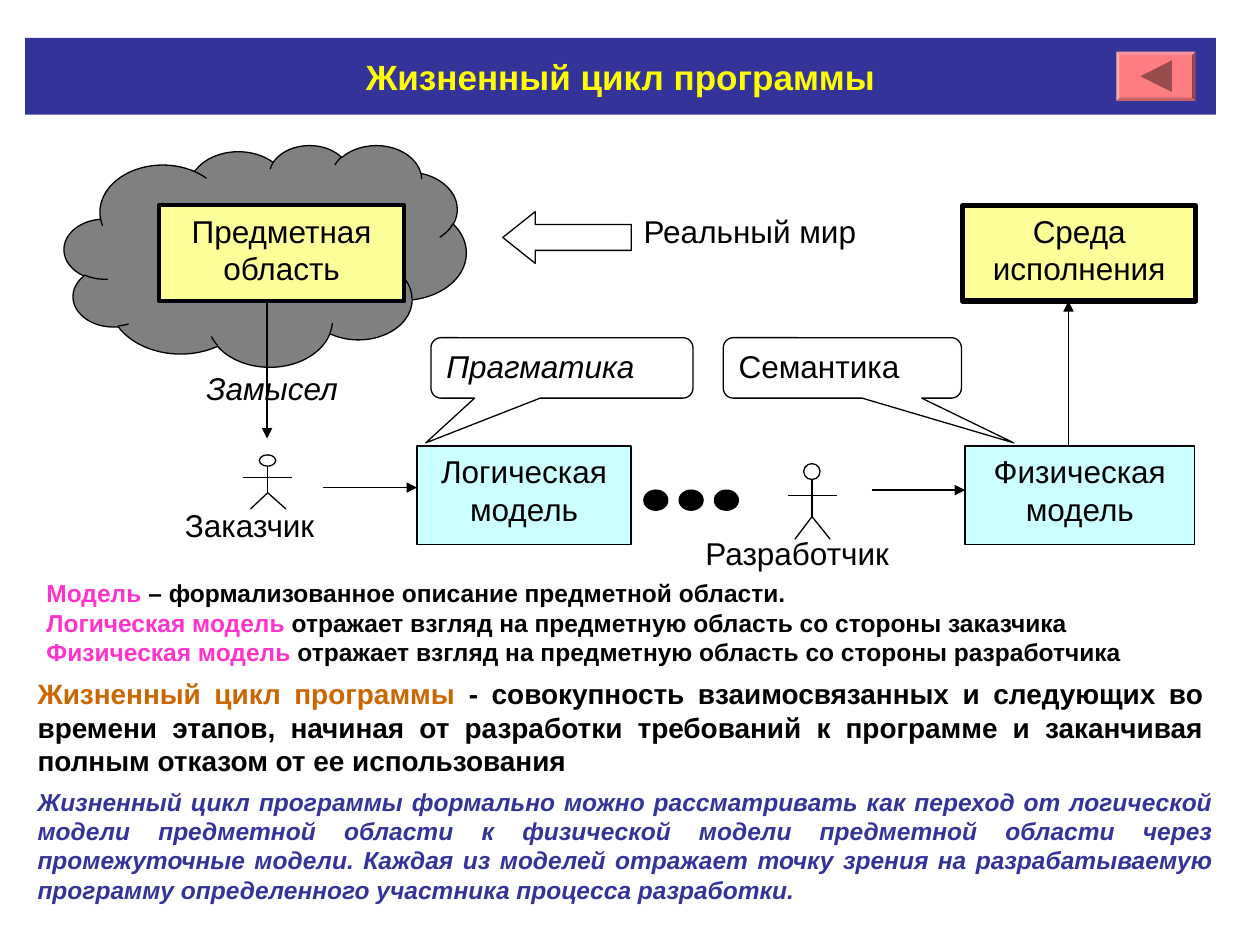
from lxml.etree import SubElement
from pptx import Presentation
from pptx.dml.color import RGBColor
from pptx.enum.shapes import MSO_CONNECTOR, MSO_SHAPE
from pptx.enum.text import MSO_ANCHOR, PP_ALIGN
from pptx.oxml.ns import qn
from pptx.util import Inches, Pt

BLACK = RGBColor(0, 0, 0)
WHITE = RGBColor(0xFF, 0xFF, 0xFF)
NAVY = RGBColor(0x33, 0x33, 0x99)
GOLD = RGBColor(0xFF, 0xFF, 0)
GREY = RGBColor(0x80, 0x80, 0x80)
CREAM = RGBColor(0xFF, 0xFF, 0x99)
AQUA = RGBColor(0xCC, 0xFF, 0xFF)
PINK = RGBColor(0xFF, 0x33, 0xCC)
RUST = RGBColor(0xCC, 0x66, 0)
CORAL = RGBColor(0xFF, 0x7C, 0x80)
WINE = RGBColor(0x99, 0x4A, 0x4D)


def shift(box, x, y, *size):
    """Turn a place inside box into a place on the slide."""
    return (box[0] + x, box[1] + y, *size)


def write(shape, *paras, size=18, align=PP_ALIGN.LEFT, anchor=MSO_ANCHOR.TOP,
          color=BLACK, bold=False, italic=False):
    """Fill a shape with paragraphs, each a string or a list of (text, colour)."""
    frame = shape.text_frame
    frame.word_wrap = True
    frame.vertical_anchor = anchor
    for i, runs in enumerate(paras):
        para = frame.add_paragraph() if i else frame.paragraphs[0]
        para.alignment = align
        for text, tint in [(runs, color)] if isinstance(runs, str) else runs:
            run = para.add_run()
            run.text = text
            font = run.font
            font.name, font.size = "Arial", Pt(size)
            font.bold, font.italic = bold, italic
            font.color.rgb = tint


def draw(slide, kind, box, fill=WHITE, width=0.75, adjust=()):
    shape = slide.shapes.add_shape(kind, *map(Inches, box))
    shape.shadow.inherit = False
    shape.fill.solid()
    shape.fill.fore_color.rgb = fill
    if width:
        shape.line.color.rgb = BLACK
        shape.line.width = Pt(width)
    else:
        shape.line.fill.background()
    for i, value in enumerate(adjust):
        shape.adjustments[i] = value
    return shape


def link(slide, start, end, arrow=False):
    line = slide.shapes.add_connector(
        MSO_CONNECTOR.STRAIGHT, *map(Inches, (*start, *end)))
    line.line.color.rgb = BLACK
    line.line.width = Pt(0.75)
    if arrow:
        SubElement(line.line._get_or_add_ln(), qn("a:tailEnd"), type="triangle")
    SubElement(line._element.spPr, qn("a:effectLst"))


def label(slide, box, text):
    write(draw(slide, MSO_SHAPE.RECTANGLE, box, width=0), text)


def block(slide, box, text, fill, width=0.75):
    shape = draw(slide, MSO_SHAPE.RECTANGLE, box, fill, width)
    write(shape, text, align=PP_ALIGN.CENTER)


def bubble(slide, box, text, tip, italic=False):
    """Draw a callout whose tip is given as shares of the box from its centre."""
    shape = draw(slide, MSO_SHAPE.ROUNDED_RECTANGULAR_CALLOUT, box,
                 adjust=(*tip, 0.167))
    write(shape, text, italic=italic)


def note(slide, box, *paras, **style):
    write(slide.shapes.add_textbox(*map(Inches, box)), *paras, **style)


def person(slide, box):
    """Draw a stick figure that fills the box."""
    wide, high = box[2:]

    def spot(x, y):
        return shift(box, x * wide, y * high)

    draw(slide, MSO_SHAPE.OVAL, (*spot(0.33, 0), wide / 3, 0.21 * high))
    hip = spot(0.5, 0.7)
    for start, end in ((spot(0.5, 0.21), hip), (hip, spot(0.15, 1)),
                       (hip, spot(0.87, 1)), (spot(0, 0.42), spot(1, 0.42))):
        link(slide, start, end)


def dots(slide, box, count=3):
    size = 0.19
    step = (box[2] - size) / (count - 1)
    for i in range(count):
        draw(slide, MSO_SHAPE.OVAL, shift(box, i * step, 0, size, box[3]), BLACK)


def header(slide, box):
    title = slide.shapes.title
    title.left, title.top, title.width, title.height = map(Inches, box)
    title.fill.solid()
    title.fill.fore_color.rgb = NAVY
    write(title, "Жизненный цикл программы", size=20, color=GOLD, bold=True,
          align=PP_ALIGN.CENTER, anchor=MSO_ANCHOR.MIDDLE)


def button(slide, box):
    draw(slide, MSO_SHAPE.BEVEL, box, CORAL, 0, (0.065,))
    side = 0.25
    mark = shift(box, (box[2] - side) / 2, (box[3] - side) / 2, side, side)
    draw(slide, MSO_SHAPE.ISOSCELES_TRIANGLE, mark, WINE, 0).rotation = 270


def world(slide, box):
    """Draw the real world, the domain and the run-time environment."""
    draw(slide, MSO_SHAPE.CLOUD, shift(box, 0, 0, 3.19, 1.76), GREY)
    label(slide, shift(box, 4.5, 0.48, 2.31, 0.52), "Реальный мир")
    block(slide, shift(box, 0.75, 0.48, 1.95, 0.76), "Предметная область",
          CREAM, 2.25)
    block(slide, shift(box, 7.13, 0.48, 1.85, 0.76), "Среда исполнения",
          CREAM, 3)
    draw(slide, MSO_SHAPE.LEFT_ARROW, shift(box, 3.48, 0.53, 1.02, 0.41),
         adjust=(0.5, 0.628))
    link(slide, shift(box, 1.61, 1.24), shift(box, 1.61, 2.33), arrow=True)
    note(slide, shift(box, 0.55, 1.73, 2.2, 0.4), "Замысел", italic=True,
         align=PP_ALIGN.CENTER)


def models(slide, box):
    """Draw the way from the customer's model to the developer's model."""
    label(slide, shift(box, 0, 1.29, 1.43, 0.64), "Заказчик")
    person(slide, shift(box, 0.56, 0.93, 0.39, 0.43))
    label(slide, shift(box, 4.13, 1.51, 1.92, 0.43), "Разработчик")
    person(slide, shift(box, 4.88, 1, 0.39, 0.6))
    block(slide, shift(box, 1.94, 0.86, 1.7, 0.78), "Логическая модель", AQUA)
    block(slide, shift(box, 6.29, 0.86, 1.82, 0.78), "Физическая модель", AQUA)
    dots(slide, shift(box, 3.74, 1.21, 0.75, 0.16))
    for start, end in (((1.19, 1.19), (1.94, 1.19)),
                       ((5.55, 1.21), (6.29, 1.21)),
                       ((7.11, 0.86), (7.11, -0.29))):
        link(slide, shift(box, *start), shift(box, *end), arrow=True)
    bubble(slide, shift(box, 2.05, 0, 2.08, 0.48), "Прагматика",
           (-0.52, 1.24), italic=True)
    bubble(slide, shift(box, 4.37, 0, 1.89, 0.48), "Семантика", (0.72, 1.24))


def notes(slide, box):
    """Write the definitions under the diagram."""
    style = dict(bold=True, align=PP_ALIGN.JUSTIFY)
    terms = (
        ("Модель", " – формализованное описание предметной области."),
        ("Логическая модель",
         " отражает взгляд на предметную область со стороны заказчика"),
        ("Физическая модель",
         " отражает взгляд на предметную область со стороны разработчика"),
    )
    note(slide, shift(box, 0.07, 0, 9.37, 0.8),
         *([(term, PINK), (rest, BLACK)] for term, rest in terms),
         size=14, anchor=MSO_ANCHOR.MIDDLE, **style)
    note(slide, shift(box, 0, 0.78, 9.45, 0.9),
         [("Жизненный цикл программы ", RUST),
          ("- совокупность взаимосвязанных и следующих во времени этапов, "
           "начиная от разработки требований к программе и заканчивая полным "
           "отказом от ее использования", BLACK)],
         size=16, **style)
    note(slide, shift(box, 0, 1.65, 9.53, 1.04),
         "Жизненный цикл программы формально можно рассматривать как переход "
         "от логической модели предметной области к физической модели "
         "предметной области через промежуточные модели. Каждая из моделей "
         "отражает точку зрения на разрабатываемую программу определенного "
         "участника процесса разработки.",
         size=14, color=NAVY, italic=True, anchor=MSO_ANCHOR.MIDDLE, **style)


def main():
    deck = Presentation()
    deck.slide_width, deck.slide_height = Inches(10), Inches(7.5)
    slide = deck.slides.add_slide(deck.slide_layouts[5])
    header(slide, (0.2, 0.3, 9.45, 0.61))
    world(slide, (0.51, 1.15))
    models(slide, (1.37, 2.68))
    notes(slide, (0.2, 4.54))
    button(slide, (8.86, 0.41, 0.63, 0.39))
    deck.save("out.pptx")


if __name__ == "__main__":
    main()
